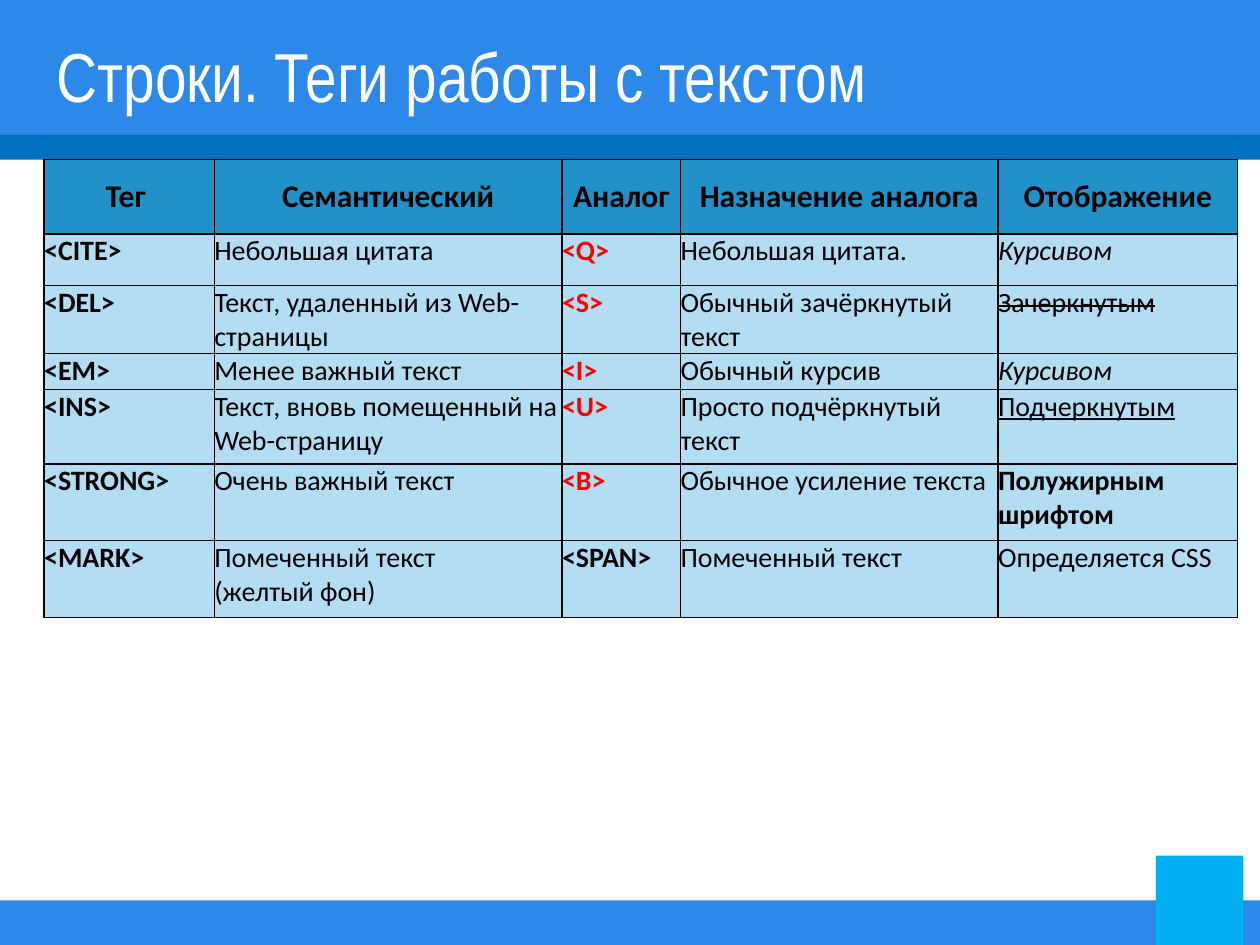
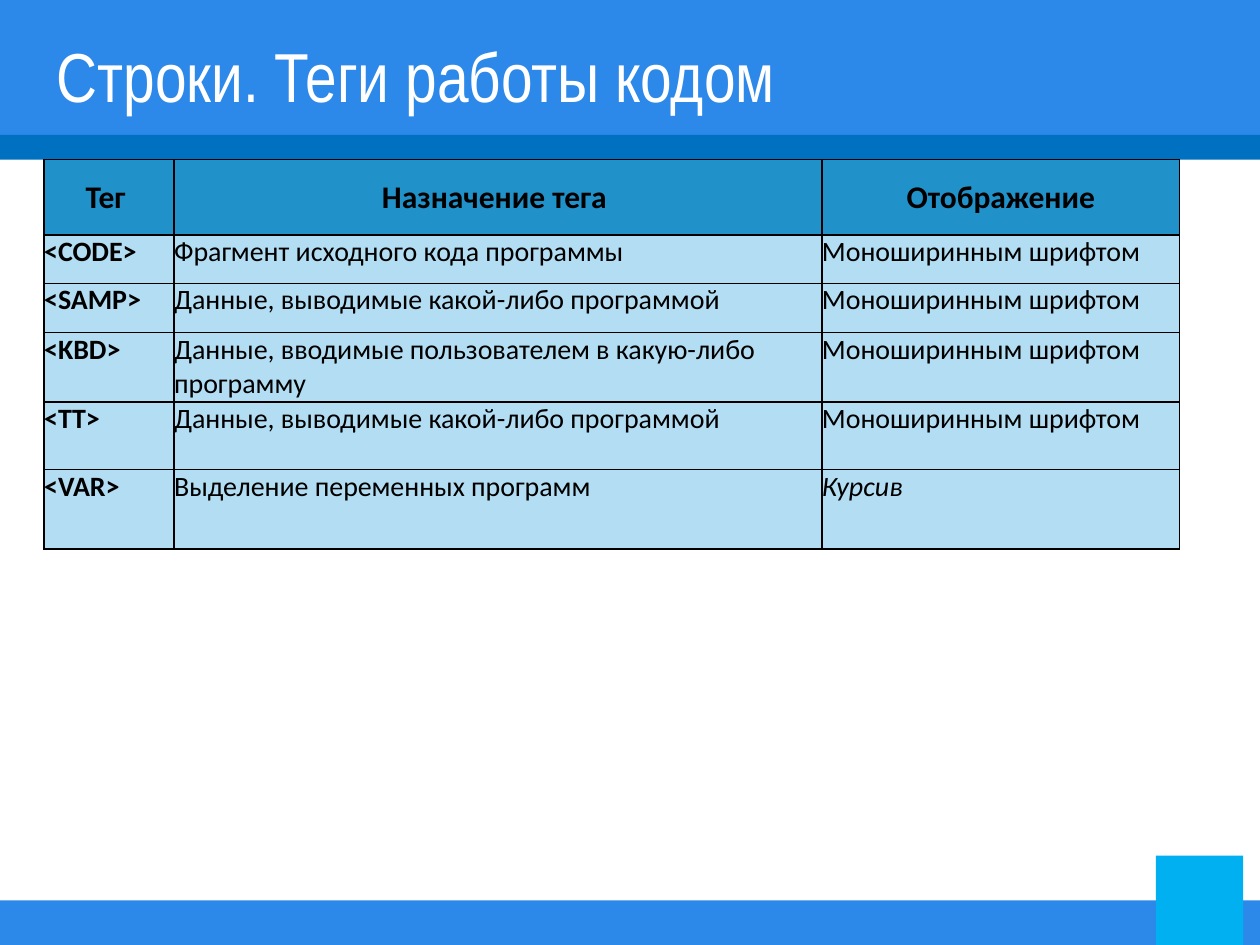
from pptx import Presentation
from pptx.dml.color import RGBColor
from pptx.enum.shapes import MSO_SHAPE as Preset
from pptx.enum.text import MSO_ANCHOR as Anchor, PP_ALIGN as Align
from pptx.oxml import parse_xml
from pptx.oxml.ns import nsdecls
from pptx.util import Cm, Pt

COLORS = {
    "band": "2C88E9",
    "stripe": "0070C0",
    "corner": "00B0F0",
    "header": "2191C9",
    "body": "B3DDF2",
    "title": "FFFFFF",
    "text": "000000",
    "analog": "FF0000",
}
SLIDE_WIDTH, SLIDE_HEIGHT = 25.4, 19.05
TABLE_LEFT, TABLE_TOP = 0.89, 3.22
BANDS = [
    ("band", 0, 0, SLIDE_WIDTH, 2.72),
    ("stripe", 0, 2.72, SLIDE_WIDTH, 0.5),
    ("band", 0, 18.15, SLIDE_WIDTH, 0.9),
    ("corner", 23.3, 17.25, 1.76, 1.8),
]

MONOSPACE = "Моноширинным шрифтом"
PROGRAM_OUTPUT = "Данные, выводимые какой-либо программой"

TEXT_TAGS = [
    ["Тег ", "Семантический", "Аналог", "Назначение аналога", "Отображение"],
    ["<CITE>", "Небольшая цитата", ("<Q>", "analog"),
     "Небольшая цитата.", ("Курсивом", "italic")],
    ["<DEL>", "Текст, удаленный из Web-страницы", ("<S>", "analog"),
     "Обычный зачёркнутый текст", ("Зачеркнутым", "strike")],
    ["<EM>", "Менее важный текст", ("<I>", "analog"),
     "Обычный курсив", ("Курсивом", "italic")],
    ["<INS>", "Текст, вновь помещенный на Web-страницу", ("<U>", "analog"),
     "Просто подчёркнутый текст", ("Подчеркнутым", "underline")],
    ["<STRONG>", "Очень важный текст", ("<B>", "analog"),
     "Обычное усиление текста", ("Полужирным шрифтом", "bold")],
    ["<MARK>", "Помеченный текст\n(желтый фон)", "<SPAN>",
     "Помеченный текст", "Определяется CSS"],
]
CODE_TAGS = [
    ["Тег ", "Назначение тега ", "Отображение"],
    ["<CODE>", "Фрагмент исходного кода программы", MONOSPACE],
    ["<SAMP>", PROGRAM_OUTPUT, MONOSPACE],
    ["<KBD>", "Данные, вводимые пользователем в какую-либо программу", MONOSPACE],
    ["<TT>", PROGRAM_OUTPUT, MONOSPACE],
    ["<VAR>", "Выделение переменных программ", ("Курсив", "italic")],
]


def rgb(name):
    return RGBColor.from_string(COLORS[name])


def set_font(font, name, size, color):
    font.name = name
    font.size = Pt(size)
    font.color.rgb = rgb(color)


def add_band(slide, color, left, top, width, height):
    shape = slide.shapes.add_shape(
        Preset.RECTANGLE, Cm(left), Cm(top), Cm(width), Cm(height))
    shape.shadow.inherit = False
    shape.fill.solid()
    shape.fill.fore_color.rgb = rgb(color)
    shape.line.fill.background()


def add_title(slide, text):
    box = slide.shapes.add_textbox(Cm(0.89), Cm(0.74), Cm(22.86), Cm(1.55))
    frame = box.text_frame
    frame.word_wrap = True
    frame.vertical_anchor = Anchor.MIDDLE
    paragraph = frame.paragraphs[0]
    paragraph.text = text
    set_font(paragraph.font, "Arial Narrow", 39.6, "title")


def add_borders(cell):
    properties = cell._tc.get_or_add_tcPr()
    for position, side in enumerate(("lnL", "lnR", "lnT", "lnB")):
        properties.insert(position, parse_xml(
            f'<a:{side} {nsdecls("a")} w="{Pt(1)}"><a:solidFill>'
            f'<a:srgbClr val="{COLORS["text"]}"/></a:solidFill></a:{side}>'))


def fill_cell(cell, content, is_header):
    text, style = content if isinstance(content, tuple) else (content, "")
    cell.margin_left = cell.margin_right = cell.margin_top = cell.margin_bottom = 0
    cell.vertical_anchor = Anchor.MIDDLE if is_header else Anchor.TOP
    cell.fill.solid()
    cell.fill.fore_color.rgb = rgb("header" if is_header else "body")
    add_borders(cell)

    paragraph = cell.text_frame.paragraphs[0]
    paragraph.text = text
    paragraph.alignment = Align.CENTER if is_header else Align.LEFT
    font = paragraph.font
    set_font(font, "Calibri", 18 if is_header else 16,
             "analog" if style == "analog" else "text")
    font.bold = is_header or text.startswith("<") or style == "bold"
    font.italic = style == "italic"
    font.underline = style == "underline"
    if style == "strike":
        for run in paragraph.runs:
            run._r.get_or_add_rPr().set("strike", "sngStrike")


def add_tag_table(slide, rows, widths, heights):
    table = slide.shapes.add_table(
        len(rows), len(widths), Cm(TABLE_LEFT), Cm(TABLE_TOP),
        Cm(sum(widths)), Cm(sum(heights))).table
    table.horz_banding = False
    for column, width in zip(table.columns, widths):
        column.width = Cm(width)
    for index, (row, height) in enumerate(zip(table.rows, heights)):
        row.height = Cm(height)
        for cell, content in zip(row.cells, rows[index]):
            fill_cell(cell, content, index == 0)


def add_tag_slide(presentation, title, rows, widths, heights):
    slide = presentation.slides.add_slide(presentation.slide_layouts[6])
    for band in BANDS:
        add_band(slide, *band)
    add_title(slide, title)
    add_tag_table(slide, rows, widths, heights)


def main():
    presentation = Presentation()
    presentation.slide_width = Cm(SLIDE_WIDTH)
    presentation.slide_height = Cm(SLIDE_HEIGHT)
    add_tag_slide(presentation, "Строки. Теги работы с текстом", TEXT_TAGS,
                  [3.43, 7.01, 2.39, 6.4, 4.83],
                  [1.5, 1.04, 1.37, 0.72, 1.5, 1.55, 1.55])
    add_tag_slide(presentation, "Строки. Теги работы кодом", CODE_TAGS,
                  [2.62, 13.06, 7.21],
                  [1.52, 0.97, 0.99, 1.4, 1.37, 1.6])
    presentation.save("out.pptx")


if __name__ == "__main__":
    main()
